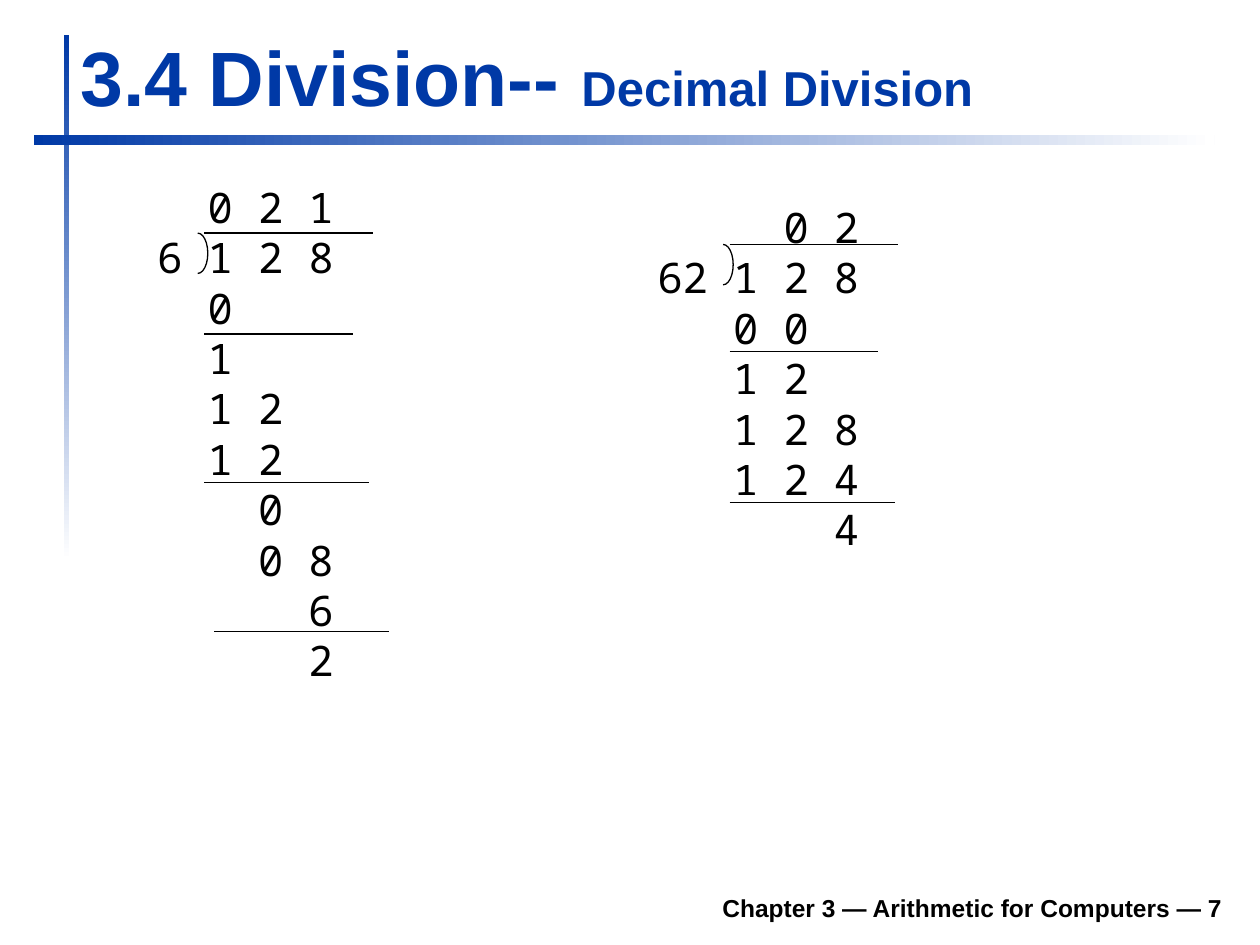
from pptx import Presentation
from pptx.dml.color import RGBColor
from pptx.enum.shapes import MSO_CONNECTOR, MSO_SHAPE
from pptx.enum.text import MSO_ANCHOR, PP_ALIGN
from pptx.oxml.ns import qn
from pptx.util import Inches, Pt

STRAIGHT = MSO_CONNECTOR.STRAIGHT
RECTANGLE, ARC = MSO_SHAPE.RECTANGLE, MSO_SHAPE.ARC
TOP, BOTTOM = MSO_ANCHOR.TOP, MSO_ANCHOR.BOTTOM
LEFT, RIGHT = PP_ALIGN.LEFT, PP_ALIGN.RIGHT

BLUE, WHITE, BLACK = "0039A6", "FFFFFF", "000000"
TITLE = [("3.4 Division-- ", 44), ("Decimal Division", 28)]
FOOTER = "Chapter 3 — Arithmetic for Computers — 7"

# Fading bars: left, top, width, height, gradient angle
BARS = [(0.51, 0.28, 0.04, 4.17, 270), (0.27, 1.07, 9.37, 0.08, 0)]

# Worked divisions: rows are (column of first digit, digits);
# rules are (left, right, y), the first one lying over the dividend
DIVISIONS = [
    {
        "box": (0.75, 1.39, 2.24, 4.14),
        "rows": [(4, "0 2 1"), (2, "6 1 2 8"), (4, "0"), (4, "1"), (4, "1 2"),
                 (4, "1 2"), (6, "0"), (6, "0 8"), (8, "6"), (8, "2")],
        "rules": [(1.62, 2.96, 1.85), (1.62, 2.8, 2.65),
                  (1.62, 2.93, 3.83), (1.7, 3.09, 5.01)],
    },
    {
        "box": (4.92, 1.55, 2.85, 3.33),
        "rows": [(6, "0 2"), (1, "62 1 2 8"), (4, "0 0"), (4, "1 2"),
                 (4, "1 2 8"), (4, "1 2 4"), (8, "4")],
        "rules": [(5.79, 7.13, 1.94), (5.79, 6.97, 2.79), (5.79, 7.1, 3.99)],
    },
]
DIGIT_WIDTH = 0.2
ROW_HEIGHT = Pt(28.8)
BRACKET_WIDTH, BRACKET_HEIGHT = 0.16, 0.32
BRACKET_GAP = 0.05  # from the bracket's top end to the rule

DIGIT_FONT = {"name": "Noto Sans Mono", "size": Pt(24)}
HEADING_FONT = {"name": "Arial", "bold": True}


def rgb(color):
    return RGBColor.from_string(color)


def inches(*lengths):
    return [Inches(length) for length in lengths]


def add_text_frame(slide, box, anchor):
    frame = slide.shapes.add_textbox(*inches(*box)).text_frame
    frame.word_wrap = True
    frame.vertical_anchor = anchor
    return frame


def add_run(paragraph, text, color, font):
    run = paragraph.add_run()
    run.text = text
    run.font.color.rgb = rgb(color)
    for attribute, value in font.items():
        setattr(run.font, attribute, value)


def set_thin_line(line):
    line.color.rgb = rgb(BLACK)
    line.width = Pt(0.75)


def add_bar(slide, left, top, width, height, angle):
    bar = slide.shapes.add_shape(RECTANGLE, *inches(left, top, width, height))
    bar.shadow.inherit = False
    bar.line.fill.background()
    bar.fill.gradient()
    bar.fill.gradient_angle = angle
    for stop, color, position in zip(bar.fill.gradient_stops, (BLUE, WHITE), (0, 1)):
        stop.color.rgb = rgb(color)
        stop.position = position


def add_rule(slide, left, right, y):
    rule = slide.shapes.add_connector(STRAIGHT, *inches(left, y, right, y))
    set_thin_line(rule.line)
    properties = rule._element.spPr
    properties.append(properties.makeelement(qn("a:effectLst"), {}))


def add_bracket(slide, rule_left, y):
    left = rule_left - BRACKET_GAP - BRACKET_WIDTH / 2
    bracket = slide.shapes.add_shape(
        ARC, *inches(left, y, BRACKET_WIDTH, BRACKET_HEIGHT))
    bracket.adjustments[0] = 162  # 270 degrees, top
    bracket.adjustments[1] = 54   # 90 degrees, bottom
    bracket.shadow.inherit = False
    bracket.fill.background()
    set_thin_line(bracket.line)


def add_division(slide, division):
    frame = add_text_frame(slide, division["box"], TOP)
    for index, (column, digits) in enumerate(division["rows"]):
        row = frame.add_paragraph() if index else frame.paragraphs[0]
        row.alignment = LEFT
        row.line_spacing = ROW_HEIGHT
        row._p.get_or_add_pPr().set("marL", str(Inches(column * DIGIT_WIDTH)))
        add_run(row, digits, BLACK, DIGIT_FONT)
    for rule in division["rules"]:
        add_rule(slide, *rule)
    rule_left, _, y = division["rules"][0]
    add_bracket(slide, rule_left, y)


def main():
    deck = Presentation()
    deck.slide_width, deck.slide_height = inches(10, 7.5)
    slide = deck.slides.add_slide(deck.slide_layouts[6])

    for bar in BARS:
        add_bar(slide, *bar)

    # Title and footer
    title = add_text_frame(slide, (0.54, 0.18, 9.37, 0.84), BOTTOM).paragraphs[0]
    for text, size in TITLE:
        add_run(title, text, BLUE, {**HEADING_FONT, "size": Pt(size)})
    footer = add_text_frame(slide, (1.85, 6.98, 7.95, 0.39), BOTTOM).paragraphs[0]
    footer.alignment = RIGHT
    add_run(footer, FOOTER, BLACK, {**HEADING_FONT, "size": Pt(14)})

    for division in DIVISIONS:
        add_division(slide, division)

    deck.save("out.pptx")


if __name__ == "__main__":
    main()
